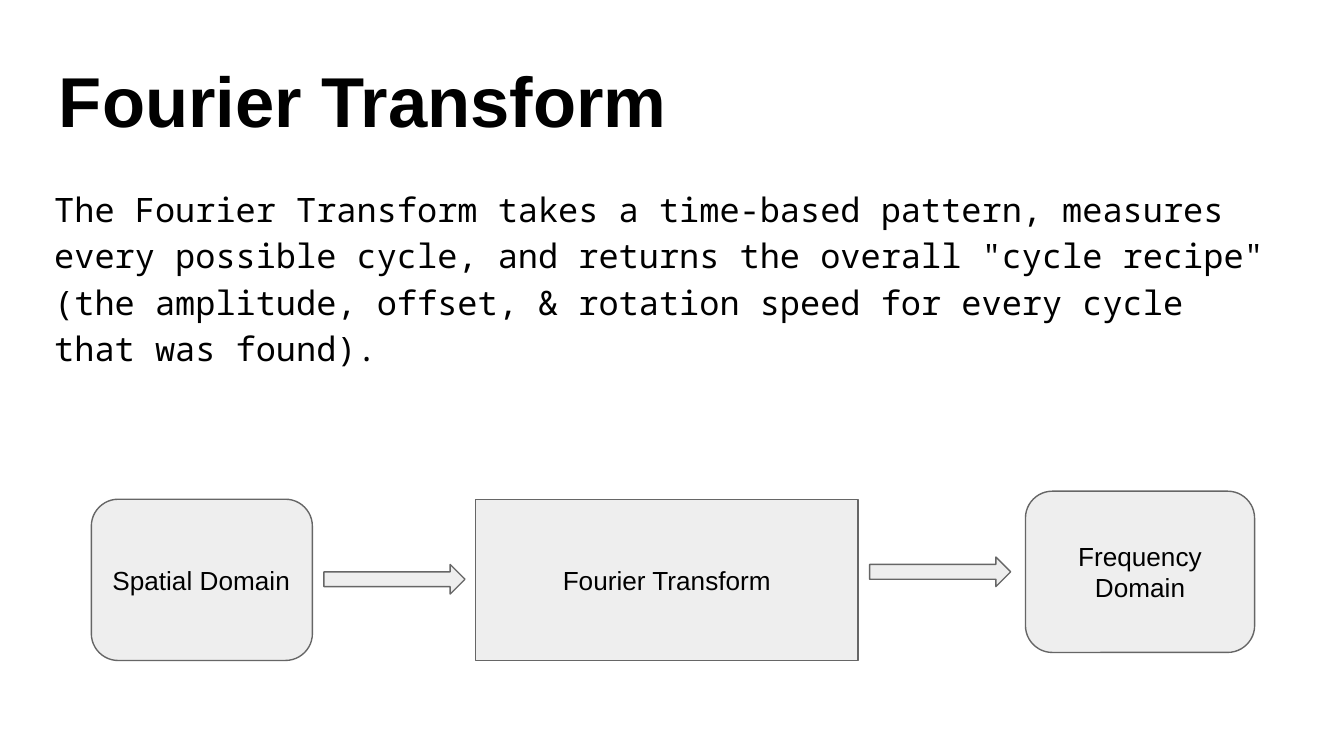
from pptx import Presentation
from pptx.dml.color import RGBColor
from pptx.enum.shapes import MSO_SHAPE
from pptx.enum.text import MSO_ANCHOR, PP_ALIGN
from pptx.util import Emu, Pt

PX = 4572
COLORS = {"text": "000000", "fill": "EEEEEE", "line": "666666"}


def px(*values):
    """Turn px lengths into EMU."""
    return [Emu(v * PX) for v in values]


def rgb(name):
    """Look up a named colour."""
    return RGBColor.from_string(COLORS[name])


def add_text(sp, text, size, font="Arial", bold=False, align=PP_ALIGN.LEFT,
             anchor=MSO_ANCHOR.TOP, spacing=None):
    """Write one wrapped paragraph into a shape."""
    tf = sp.text_frame
    tf.word_wrap = True
    tf.vertical_anchor = anchor
    tf.margin_left, tf.margin_top, tf.margin_right, tf.margin_bottom = px(20, 20, 20, 20)
    p = tf.paragraphs[0]
    p.alignment = align
    if spacing:
        p.line_spacing = spacing
    r = p.add_run()
    r.text = text
    r.font.name, r.font.size, r.font.bold = font, Pt(size), bold
    r.font.color.rgb = rgb("text")


def add_block(s, kind, box):
    """Add a grey outlined shape."""
    sp = s.shapes.add_shape(kind, *px(*box))
    sp.shadow.inherit = False
    sp.fill.solid()
    sp.fill.fore_color.rgb = rgb("fill")
    sp.line.color.rgb = rgb("line")
    sp.line.width = Pt(0.75)
    return sp


def add_title(s, box):
    """Place the slide title."""
    sp = s.shapes.add_textbox(*px(*box))
    add_text(sp, "Fourier Transform", 37.8, bold=True)


def add_body(s, box):
    """Place the explanatory paragraph."""
    sp = s.shapes.add_textbox(*px(*box))
    add_text(sp, "The Fourier Transform takes a time-based pattern, measures every "
             "possible cycle, and returns the overall \"cycle recipe\" (the amplitude, "
             "offset, & rotation speed for every cycle that was found).",
             18, font="Noto Sans Mono", spacing=1.15)


def add_flow(s, box):
    """Draw the three stages and the arrows between them."""
    x, y, w, h = box
    stage_h = h - 12
    stages = [
        ("Fourier Transform", MSO_SHAPE.RECTANGLE, 572, 12, 569, PP_ALIGN.CENTER),
        ("Spatial Domain", MSO_SHAPE.ROUNDED_RECTANGLE, 0, 12, 329, PP_ALIGN.LEFT),
        ("Frequency Domain", MSO_SHAPE.ROUNDED_RECTANGLE, w - 341, 0, 341, PP_ALIGN.CENTER),
    ]
    for text, kind, dx, dy, width, align in stages:
        sp = add_block(s, kind, (x + dx, y + dy, width, stage_h))
        add_text(sp, text, 14, align=align, anchor=MSO_ANCHOR.MIDDLE)
    for dx, dy in ((346, 109), (1158, 98)):
        add_block(s, MSO_SHAPE.RIGHT_ARROW, (x + dx, y + dy, 210, 44))


def main():
    """Build and save the slide."""
    prs = Presentation()
    prs.slide_width, prs.slide_height = px(2000, 1125)
    s = prs.slides.add_slide(prs.slide_layouts[6])
    add_title(s, (68, 64, 1864, 176))
    add_body(s, (61, 252, 1864, 730))
    add_flow(s, (136, 731, 1731, 252))
    prs.save("out.pptx")


if __name__ == "__main__":
    main()
